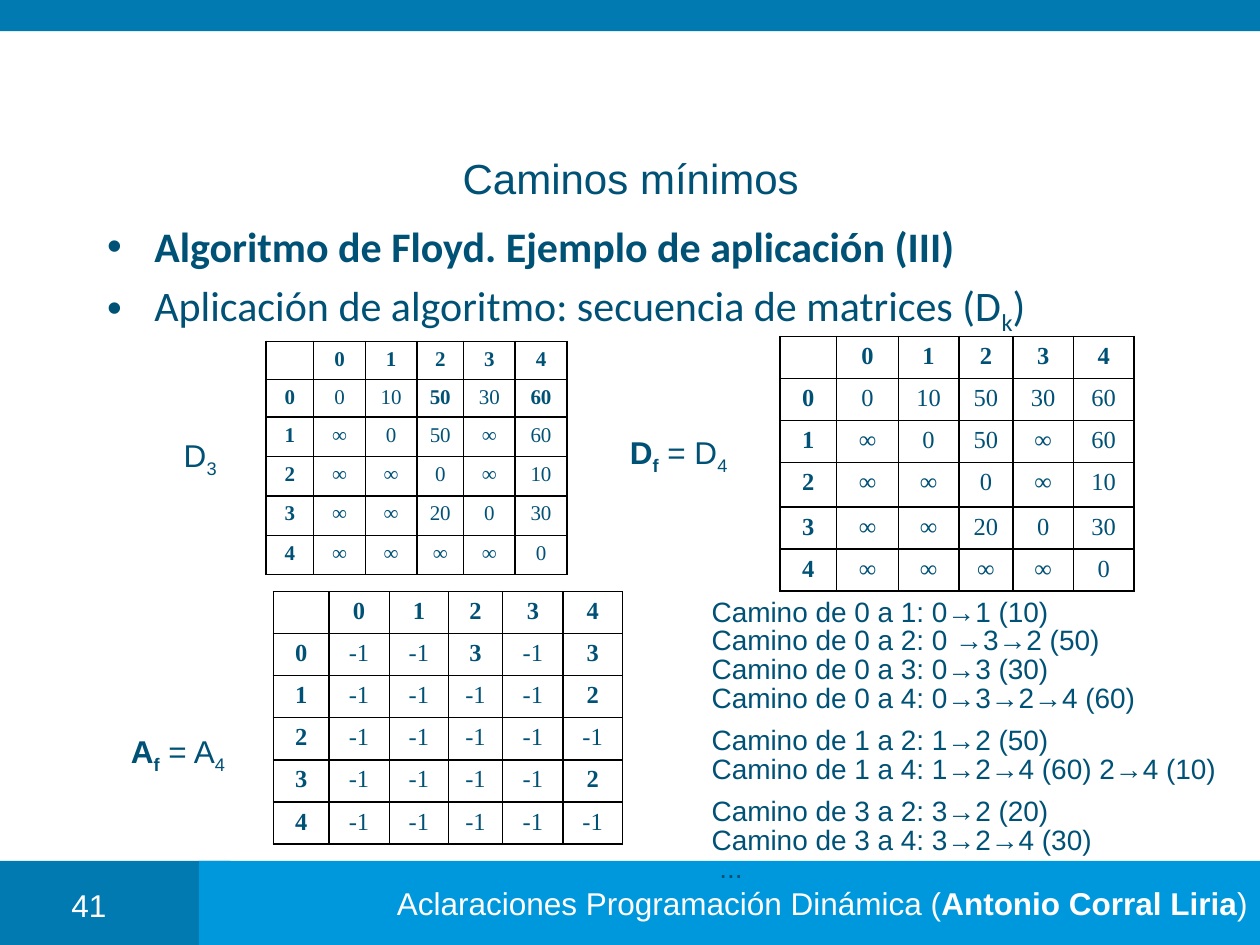
from dataclasses import dataclass

from lxml.etree import SubElement
from pptx import Presentation
from pptx.dml.color import RGBColor
from pptx.enum.shapes import MSO_SHAPE as Shape
from pptx.enum.text import MSO_ANCHOR as Anchor, PP_ALIGN as Align
from pptx.oxml import parse_xml
from pptx.oxml.ns import nsdecls, qn
from pptx.util import Inches, Pt

COLORS = {"text": "005176", "dark": "007AB1", "light": "0098DC",
          "white": "FFFFFF", "border": "000000"}
WIDTH, HEIGHT = Inches(10), Inches(7.5)


@dataclass
class Box:
    """Place and size, in percent of the slide's width and height."""
    left: float
    top: float
    width: float
    height: float

    def lengths(self) -> tuple[int, int, int, int]:
        return (across(self.left), down(self.top),
                across(self.width), down(self.height))


@dataclass
class Piece:
    text: str
    bold: bool = False
    subscript: bool = False


@dataclass
class Label:
    box: Box
    pieces: list[Piece]


@dataclass
class Matrix:
    left: float
    top: float
    columns: list[float]
    rows: list[float]
    size: int
    values: list[str]  # one string a row; a star marks a bold value


def across(percent: float) -> int:
    return round(WIDTH * percent / 100)


def down(percent: float) -> int:
    return round(HEIGHT * percent / 100)


def style(run, size: float, color: str = "text", font: str = "Arial",
          bold: bool = False) -> None:
    run.font.size, run.font.name, run.font.bold = Pt(size), font, bold
    run.font.color.rgb = RGBColor.from_string(COLORS[color])


def write(paragraph, pieces: list[Piece], size: float, color: str = "text",
          font: str = "Arial") -> None:
    for piece in pieces:
        run = paragraph.add_run()
        run.text = piece.text
        style(run, size, color, font, piece.bold)
        if piece.subscript:
            run.font._element.set("baseline", "-25000")


def add_text_box(slide, box: Box):
    frame = slide.shapes.add_textbox(*box.lengths()).text_frame
    frame.word_wrap = True
    return frame


def add_bar(slide, box: Box, color: str):
    bar = slide.shapes.add_shape(Shape.RECTANGLE, *box.lengths())
    bar.shadow.inherit = False
    bar.fill.solid()
    bar.fill.fore_color.rgb = RGBColor.from_string(COLORS[color])
    bar.line.fill.background()
    return bar


def add_borders(cell, points: float) -> None:
    properties = cell._tc.get_or_add_tcPr()
    for index, side in enumerate("LRTB"):
        properties.insert(index, parse_xml(
            f'<a:ln{side} {nsdecls("a")} w="{Pt(points)}"><a:solidFill>'
            f'<a:srgbClr val="{COLORS["border"]}"/></a:solidFill></a:ln{side}>'))


def add_matrix(slide, matrix: Matrix) -> None:
    box = Box(matrix.left, matrix.top, sum(matrix.columns), sum(matrix.rows))
    table = slide.shapes.add_table(
        len(matrix.rows), len(matrix.columns), *box.lengths()).table
    table.first_row = table.horz_banding = False
    for column, width in zip(table.columns, matrix.columns):
        column.width = across(width)
    for row, height in zip(table.rows, matrix.rows):
        row.height = down(height)

    # Node numbers head both the rows and the columns
    nodes = [str(node) for node in range(len(matrix.values))]
    grid = [["", *nodes]]
    grid += [[node, *line.split()] for node, line in zip(nodes, matrix.values)]
    for i, line in enumerate(grid):
        for j, value in enumerate(line):
            cell = table.cell(i, j)
            cell.fill.background()
            add_borders(cell, 1)
            paragraph = cell.text_frame.paragraphs[0]
            paragraph.alignment = Align.CENTER
            if value:
                bold = i == 0 or j == 0 or value.endswith("*")
                write(paragraph, [Piece(value.rstrip("*"), bold)],
                      matrix.size, font="Times New Roman")
            else:
                SubElement(paragraph._p, qn("a:endParaRPr"),
                           sz=str(matrix.size * 100))


TITLE_BOX = Box(8.3, 16, 83.5, 5.6)
BODY_BOX = Box(7.5, 22.67, 90.5, 68.27)
BULLETS = [
    [Piece("Algoritmo de Floyd. Ejemplo de aplicación (III)", bold=True)],
    [Piece("Aplicación de algoritmo: secuencia de matrices (D"),
     Piece("k", subscript=True), Piece(")")],
]
MATRICES = [
    Matrix(21.1, 36.13, [3.8, 4.1, 4.1, 3.7, 4.1, 4.1], [4] * 2 + [4.17] * 4, 12,
           ["0 10 50* 30 60*", "∞ 0 50 ∞ 60", "∞ ∞ 0 ∞ 10",
            "∞ ∞ 20 0 30", "∞ ∞ ∞ ∞ 0"]),
    Matrix(21.7, 62.6, [4.4, 4.8, 4.7, 4.3, 4.8, 4.7], [4.45] * 6, 14,
           ["-1 -1 3* -1 3*", "-1 -1 -1 -1 2*", "-1 -1 -1 -1 -1",
            "-1 -1 -1 -1 2*", "-1 -1 -1 -1 -1"]),
    Matrix(61.9, 35.6, [4.5, 4.9, 4.8, 4.3, 4.8, 4.8],
           [4.45] * 3 + [4.7] + [4.45] * 2, 14,
           ["0 10 50 30 60", "∞ 0 50 ∞ 60", "∞ ∞ 0 ∞ 10",
            "∞ ∞ 20 0 30", "∞ ∞ ∞ ∞ 0"]),
]
LABELS = [
    Label(Box(13.6, 45.47, 5.1, 5.33), [Piece("D"), Piece("3", subscript=True)]),
    *[Label(box, [Piece(name, True), Piece("f", True, True),
                  Piece(f" = {name}"), Piece("4", subscript=True)])
      for name, box in (("D", Box(49, 45.2, 10.8, 5.33)),
                        ("A", Box(9.4, 76.8, 10.6, 5.33)))],
]
PATH_BOX = Box(55.5, 62.8, 43.3, 28.13)
PATH_GROUPS = [
    ["Camino de 0 a 1: 0→1 (10)", "Camino de 0 a 2: 0 →3→2 (50)",
     "Camino de 0 a 3: 0→3 (30)", "Camino de 0 a 4: 0→3→2→4 (60)"],
    ["Camino de 1 a 2: 1→2 (50)", "Camino de 1 a 4: 1→2→4 (60) 2→4 (10)"],
    ["Camino de 3 a 2: 3→2 (20)", "Camino de 3 a 4: 3→2→4 (30)", " ..."],
]


def main() -> None:
    presentation = Presentation()
    presentation.slide_width, presentation.slide_height = WIDTH, HEIGHT
    slide = presentation.slides.add_slide(presentation.slide_layouts[1])
    title, body = slide.placeholders

    # Bars, footer and slide number
    add_bar(slide, Box(0, 91.1, 18.3, 8.9), "dark")
    footer = add_bar(slide, Box(15.8, 91.1, 84.2, 8.9), "light")
    add_bar(slide, Box(0, 0, 100, 3.3), "dark")
    footer.text_frame.word_wrap = False
    footer.text_frame.vertical_anchor = Anchor.MIDDLE
    credit = footer.text_frame.paragraphs[0]
    credit.alignment = Align.RIGHT
    write(credit, [Piece("Aclaraciones Programación Dinámica ("),
                   Piece("Antonio Corral Liria", bold=True), Piece(")")],
          18, "white")
    number = add_text_box(slide, Box(3.5, 93.07, 7.1, 4.27)).paragraphs[0]
    number.alignment = Align.CENTER
    write(number, [Piece("41")], 18, "white")

    # Title and list
    for placeholder, box in ((title, TITLE_BOX), (body, BODY_BOX)):
        (placeholder.left, placeholder.top,
         placeholder.width, placeholder.height) = box.lengths()
    title.text_frame.text = "Caminos mínimos"
    style(title.text_frame.paragraphs[0].runs[0], 24)
    for index, pieces in enumerate(BULLETS):
        frame = body.text_frame
        paragraph = frame.add_paragraph() if index else frame.paragraphs[0]
        write(paragraph, pieces, 24, font="Calibri")

    # Matrices and their names
    for matrix in MATRICES:
        add_matrix(slide, matrix)
    for label in LABELS:
        write(add_text_box(slide, label.box).paragraphs[0], label.pieces, 18)

    # Shortest paths, with a gap before each new start node
    frame = add_text_box(slide, PATH_BOX)
    frame.text = "\n".join(line for group in PATH_GROUPS for line in group)
    starts = {group[0] for group in PATH_GROUPS[1:]}
    for paragraph in frame.paragraphs:
        paragraph.line_spacing = 0.85
        paragraph.space_before = Pt(8 if paragraph.text in starts else 0)
        style(paragraph.runs[0], 16)

    presentation.save("out.pptx")


if __name__ == "__main__":
    main()
